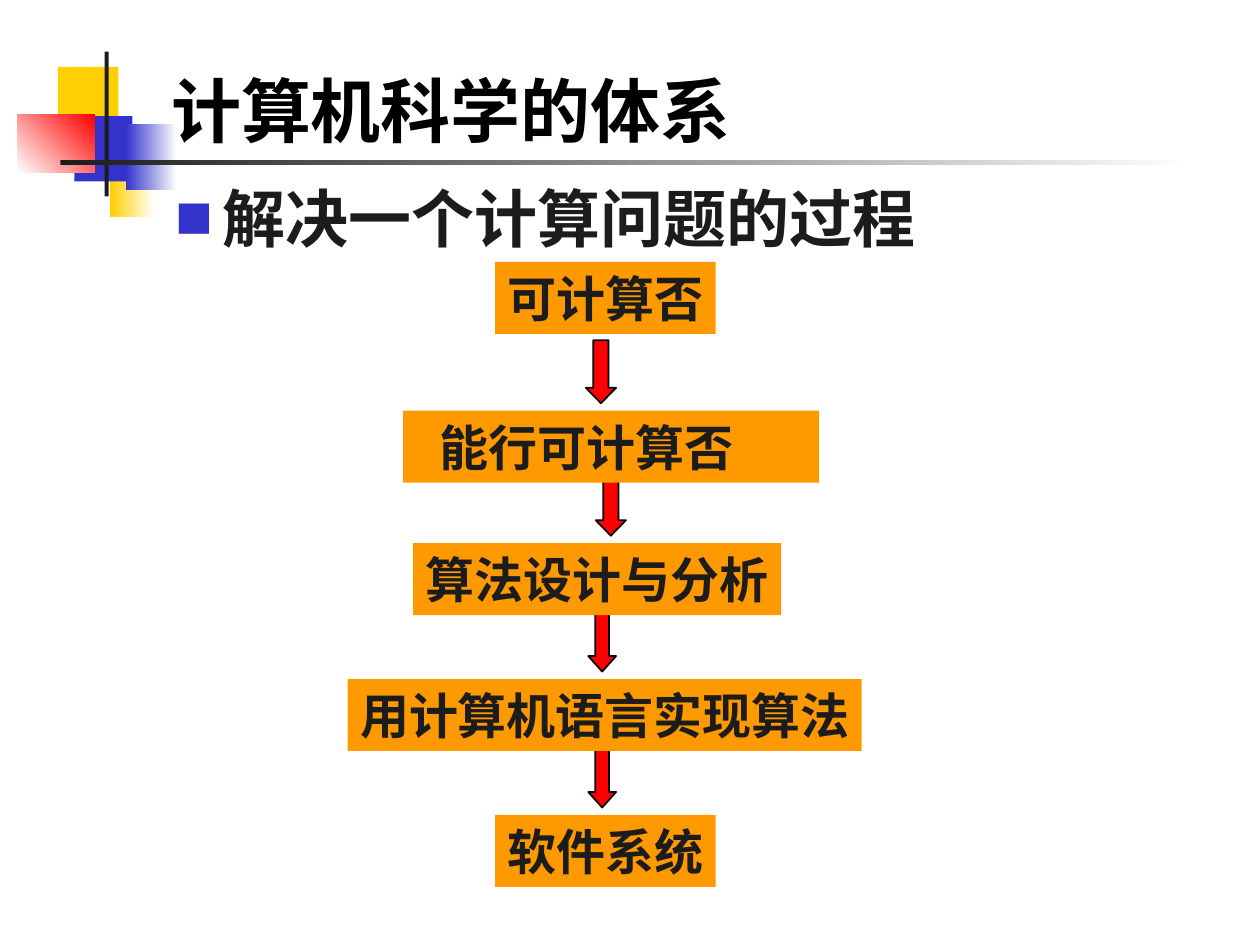
from lxml import etree
from pptx import Presentation
from pptx.dml.color import RGBColor
from pptx.enum.shapes import MSO_SHAPE
from pptx.enum.text import MSO_ANCHOR, PP_ALIGN
from pptx.oxml.ns import qn
from pptx.util import Cm, Pt

RECTANGLE = MSO_SHAPE.RECTANGLE
DOWN_ARROW = MSO_SHAPE.DOWN_ARROW
TOP = MSO_ANCHOR.TOP
MIDDLE = MSO_ANCHOR.MIDDLE
BOTTOM = MSO_ANCHOR.BOTTOM
LEFT = PP_ALIGN.LEFT

BLACK = RGBColor(0x00, 0x00, 0x00)
WHITE = RGBColor(0xFF, 0xFF, 0xFF)
INK = RGBColor(0x1C, 0x1C, 0x1C)
YELLOW = RGBColor(0xFF, 0xCF, 0x01)
BLUE = RGBColor(0x33, 0x33, 0xCC)
RED = RGBColor(0xFF, 0x00, 0x00)
ORANGE = RGBColor(0xFF, 0x99, 0x00)

TITLE_FONT = "Karla"
BODY_FONT = "Noto Sans CJK SC"

STEP_HEIGHT = 1.45
ARROW_HEIGHT = 1.27
ARROW_RISE = 1.42

STEPS = [
    ("可计算否", 9.98, 5.28, 4.45, 0.25),
    ("能行可计算否", 8.13, 8.28, 8.38, 0.74),
    ("算法设计与分析", 8.33, 10.95, 7.42, 0.25),
    ("用计算机语言实现算法", 7.01, 13.69, 10.36, 0.25),
    ("软件系统", 9.98, 16.43, 4.45, 0.25),
]
ARROWS = [
    (11.81, 0.61, 0.51),
    (12.01, 0.61, 0.51),
    (11.86, 0.56, 0.56),
    (11.86, 0.56, 0.56),
]


def write_text(frame, text, *, size, font=BODY_FONT, color=INK, anchor=TOP,
               margins=(0.25, 0.13, 0.25, 0.13), bullet=False):
    """Fill a text frame with one bold, left-aligned paragraph."""
    frame.word_wrap = True
    frame.vertical_anchor = anchor
    (frame.margin_left, frame.margin_top,
     frame.margin_right, frame.margin_bottom) = map(Cm, margins)
    paragraph = frame.paragraphs[0]
    paragraph.alignment = LEFT
    if bullet:
        add_bullet(paragraph)
    run = paragraph.add_run()
    run.text = text
    run.font.size = Pt(size)
    run.font.bold = True
    run.font.color.rgb = color
    run.font.name = font
    east_asian = etree.SubElement(run.font._element, qn("a:ea"))
    east_asian.set("typeface", font)


def add_bullet(paragraph):
    """Give a paragraph a hanging square bullet."""
    properties = paragraph._p.get_or_add_pPr()
    properties.set("marL", str(Cm(0.95)))
    properties.set("indent", str(-Cm(0.95)))
    bullet_color = etree.SubElement(properties, qn("a:buClr"))
    etree.SubElement(bullet_color, qn("a:srgbClr")).set("val", str(BLUE))
    etree.SubElement(properties, qn("a:buSzPct")).set("val", "60000")
    etree.SubElement(properties, qn("a:buFont")).set("typeface", BODY_FONT)
    etree.SubElement(properties, qn("a:buChar")).set("char", "■")


class SlideBuilder:
    """Hold the current slide and draw its elements in one style."""

    def __init__(self, slide):
        self.slide = slide

    def add_shape(self, kind, position):
        """Add a preset shape without shadow or outline."""
        shape = self.slide.shapes.add_shape(kind, *map(Cm, position))
        shape.shadow.inherit = False
        shape.line.fill.background()
        return shape

    def add_block(self, position, color):
        """Add a plain filled rectangle."""
        shape = self.add_shape(RECTANGLE, position)
        shape.fill.solid()
        shape.fill.fore_color.rgb = color
        return shape

    def add_fade(self, position, start, end, angle=0):
        """Add a rectangle that blends from one colour to another."""
        fill = self.add_shape(RECTANGLE, position).fill
        fill.gradient()
        fill.gradient_angle = angle
        for stop, color, offset in zip(fill.gradient_stops, (start, end), (0, 1)):
            stop.color.rgb = color
            stop.position = offset

    def add_text(self, position, text, **text_format):
        """Add a text box."""
        box = self.slide.shapes.add_textbox(*map(Cm, position))
        write_text(box.text_frame, text, **text_format)

    def add_step(self, text, left, top, width, inset):
        """Add one labelled box of the process."""
        shape = self.add_block((left, top, width, STEP_HEIGHT), ORANGE)
        write_text(shape.text_frame, text, size=28, anchor=MIDDLE,
                   margins=(inset, 0, 0, 0))

    def add_arrow(self, left, top, width, head):
        """Add a red arrow that points down to the next step."""
        shape = self.add_shape(DOWN_ARROW, (left, top, width, ARROW_HEIGHT))
        shape.adjustments[0] = 0.5
        shape.adjustments[1] = head
        shape.fill.solid()
        shape.fill.fore_color.rgb = RED
        shape.line.color.rgb = BLACK
        shape.line.width = Pt(1)


def main():
    """Build the slide and save it."""
    presentation = Presentation()
    presentation.slide_width = Cm(25.4)
    presentation.slide_height = Cm(19.05)
    builder = SlideBuilder(
        presentation.slides.add_slide(presentation.slide_layouts[6]))

    builder.add_block((1.17, 1.35, 1.22, 1.32), YELLOW)
    builder.add_fade((2.22, 3.05, 0.91, 1.32), YELLOW, WHITE)
    builder.add_block((1.5, 2.34, 1.17, 1.32), BLUE)
    builder.add_fade((2.54, 2.51, 1.02, 1.32), BLUE, WHITE)
    builder.add_fade((0.36, 2.31, 1.55, 1.17), WHITE, RED, angle=45)
    builder.add_block((2.11, 1.04, 0.08, 2.92), INK)
    builder.add_fade((1.22, 3.23, 22.86, 0.1), INK, WHITE)

    builder.add_text((3.2, 0, 21.64, 3.18), "计算机科学的体系", size=40,
                     font=TITLE_FONT, color=BLACK, anchor=BOTTOM)
    builder.add_text((3.28, 3.61, 21.59, 13.44), "解决一个计算问题的过程",
                     size=36, margins=(0.25, 0, 0.25, 0.13), bullet=True)

    for index in reversed(range(len(STEPS))):
        builder.add_step(*STEPS[index])
        if index > 0:
            left, width, head = ARROWS[index - 1]
            builder.add_arrow(left, STEPS[index][2] - ARROW_RISE, width, head)

    presentation.save("out.pptx")


if __name__ == "__main__":
    main()
